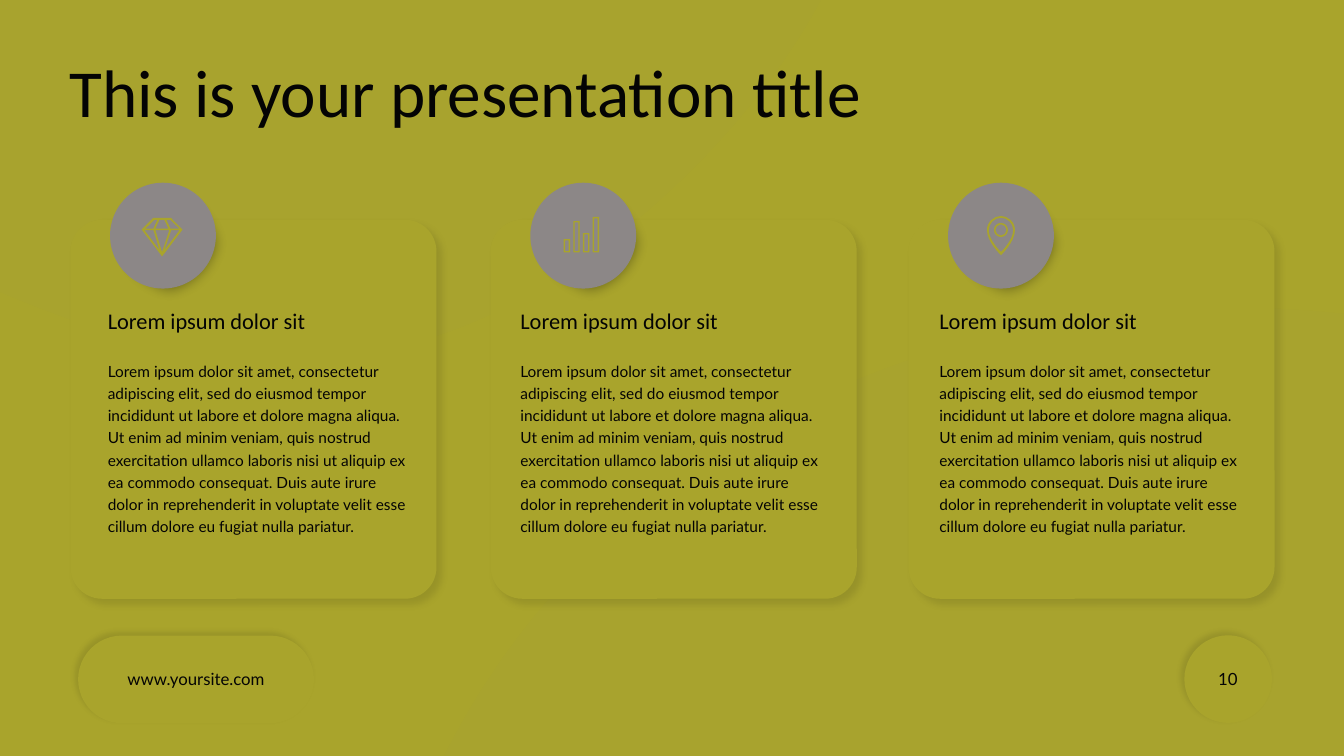
from dataclasses import dataclass

import pptx
import pptx.dml.color
import pptx.enum.shapes
import pptx.enum.text
import pptx.oxml
import pptx.oxml.ns
import pptx.util

Pt = pptx.util.Pt
RGBColor = pptx.dml.color.RGBColor
Shape = pptx.enum.shapes.MSO_SHAPE
Align = pptx.enum.text.PP_ALIGN
Anchor = pptx.enum.text.MSO_ANCHOR
Point = tuple[float, float]

OLIVE = RGBColor(0xA9, 0xA4, 0x2C)
GREY = RGBColor(0x8C, 0x87, 0x87)
INK = RGBColor(0x04, 0x04, 0x04)
BLACK = RGBColor(0x00, 0x00, 0x00)
NAMESPACE = pptx.oxml.ns.nsdecls("a")
HEADING = "Lorem ipsum dolor sit"
BODY = (
    "Lorem ipsum dolor sit amet, consectetur adipiscing elit, sed do eiusmod tempor "
    "incididunt ut labore et dolore magna aliqua. Ut enim ad minim veniam, quis nostrud "
    "exercitation ullamco laboris nisi ut aliquip ex ea commodo consequat. Duis aute irure "
    "dolor in reprehenderit in voluptate velit esse cillum dolore eu fugiat nulla pariatur."
)


@dataclass
class Contour:
    points: list[Point]
    curved: bool = False

    def extent(self) -> list[Point]:
        if not self.curved:
            return self.points
        result = []
        for first in range(0, len(self.points) - 1, 3):
            corners = self.points[first:first + 4]
            for t in (step / 24 for step in range(25)):
                weights = ((1 - t) ** 3, 3 * t * (1 - t) ** 2, 3 * t * t * (1 - t), t ** 3)
                result.append(tuple(sum(w * p[axis] for w, p in zip(weights, corners))
                                    for axis in (0, 1)))
        return result


@dataclass
class Card:
    left: float
    text_left: float
    icon: list[Contour]


@dataclass
class Shadow:
    color: RGBColor
    blur: float
    distance: float
    angle: int


CARD_SHADOW = Shadow(BLACK, 5, 5, 45)
FOOTER_SHADOW = Shadow(INK, 4, 3, 225)


def ring(radius: float, middle: float) -> Contour:
    quarter = [(1, 0), (1, 0.55), (0.55, 1)]
    turns = [(1, 0, 0, 1), (0, -1, 1, 0), (-1, 0, 0, -1), (0, 1, -1, 0)]
    unit = [(a * x + b * y, c * x + d * y) for a, b, c, d in turns for x, y in quarter]
    return Contour([(radius * x, middle + radius * y) for x, y in unit + unit[:1]], True)


def bar_icon() -> list[Contour]:
    contours = []
    for index, top in enumerate((2.5, -10.4, -1.8, -13.3)):
        for inset in (0, 1):
            left = -14 + 6.9 * index + inset
            right = left + 4.6 - 2 * inset
            contours.append(Contour([(left, top + inset), (right, top + inset),
                                     (right, 12 - inset), (left, 12 - inset)]))
    return contours


def pin_icon() -> list[Contour]:
    outer = [(0, -14), (-5, -14), (-10, -9.7), (-10, -4), (-10, 4.7), (0, 14), (0, 14),
             (0, 14), (10, 4.7), (10, -4), (10, -9.7), (5, -14), (0, -14)]
    inner = [(x * 0.87, -4 + (y + 4) * 0.87) for x, y in outer]
    return [Contour(outer, True), Contour(inner, True), ring(5, -4), ring(4, -4)]


DIAMOND_ICON = [Contour(points) for points in (
    [(-7, -12.6), (5.8, -12.6), (14, -4.3), (-0.6, 14.8), (-15.2, -4.3)],
    [(1, 10.4), (6, -4), (12, -4)],
    [(-0.6, 11.9), (-5.4, -4), (4.6, -4)],
    [(-13.3, -4), (-6.8, -4), (-2.4, 10.4)],
    [(-6.1, -11.2), (-4, -11.2), (-6.8, -5), (-12.6, -5)],
    [(1, -11.2), (4, -5), (-5.4, -5), (-2.5, -11.2)],
    [(5.4, -11.2), (11.9, -5), (5.4, -5), (2.5, -11.2)],
)]
CARDS = [Card(50.4, 77, DIAMOND_ICON), Card(350.6, 371.7, bar_icon()), Card(649, 671, pin_icon())]
BLOBS = [
    [(613.4, -159.8), (652.3, -43.2), (516.2, 132.5), (378.7, 210.2), (240.5, 287.3),
     (101.5, 267.8), (-89.3, 164.9), (-280.8, 63.4), (-523.4, -122.4), (-491.8, -230.4),
     (-461.5, -338.4), (-155.5, -367.2), (103.7, -352.8), (362.9, -337), (575.3, -277.2),
     (613.4, -159.8)],
    [(1425.6, 501.8), (1481, 680.4), (1316.2, 921.6), (1090.8, 1087.2), (865.4, 1252.8),
     (580.3, 1340.6), (415.4, 1229), (252, 1117.4), (210.2, 806.4), (297.4, 584.6),
     (384.5, 362.9), (601.9, 230.4), (848.2, 220.3), (1094.4, 211), (1370.9, 324.7),
     (1425.6, 501.8)],
]


def paint(shape, color: RGBColor, opacity: int = 100) -> None:
    shape.shadow.inherit = False
    shape.line.fill.background()
    shape.fill.solid()
    shape.fill.fore_color.rgb = color
    if opacity < 100:
        tone = shape.fill._xPr.find(".//" + pptx.oxml.ns.qn("a:srgbClr"))
        tone.append(pptx.oxml.parse_xml(f'<a:alpha {NAMESPACE} val="{opacity * 1000}"/>'))


def add_effect(shape, effect: str) -> None:
    effects = shape._element.spPr.find(pptx.oxml.ns.qn("a:effectLst"))
    effects.append(pptx.oxml.parse_xml(effect))


def add_shadow(shape, shadow: Shadow) -> None:
    add_effect(shape, f'<a:outerShdw {NAMESPACE} blurRad="{Pt(shadow.blur)}" '
               f'dist="{Pt(shadow.distance)}" dir="{shadow.angle * 60000}" algn="ctr" '
               f'rotWithShape="0"><a:srgbClr val="{shadow.color}"><a:alpha val="10000"/>'
               '</a:srgbClr></a:outerShdw>')


def add_figure(page, kind, left: float, top: float, width: float, height: float,
               color: RGBColor, opacity: int = 100):
    shape = page.shapes.add_shape(kind, Pt(left), Pt(top), Pt(width), Pt(height))
    paint(shape, color, opacity)
    return shape


def add_outline(page, contours: list[Contour], color: RGBColor, opacity: int = 100,
                center: Point = (0, 0)) -> None:
    xs, ys = zip(*(point for contour in contours for point in contour.extent()))
    left, top, right, bottom = min(xs), min(ys), max(xs), max(ys)
    frame = [(Pt(x + center[0]), Pt(y + center[1]))
             for x, y in ((left, top), (right, top), (right, bottom), (left, bottom))]
    builder = page.shapes.build_freeform(*frame[0])
    builder.add_line_segments(frame[1:], close=True)
    shape = builder.convert_to_shape()
    outline = shape._element.find(".//" + pptx.oxml.ns.qn("a:path"))
    for child in list(outline):
        outline.remove(child)
    for contour in contours:
        marks = [f'<a:pt {NAMESPACE} x="{Pt(x - left)}" y="{Pt(y - top)}"/>'
                 for x, y in contour.points]
        size, tag = (3, "cubicBezTo") if contour.curved else (1, "lnTo")
        steps = [("moveTo", marks[:1])]
        steps += [(tag, marks[i:i + size]) for i in range(1, len(marks), size)]
        for name, group in steps + [("close", [])]:
            outline.append(pptx.oxml.parse_xml(
                f'<a:{name} {NAMESPACE}>{"".join(group)}</a:{name}>'))
    paint(shape, color, opacity)


def write(box, text: str, size: float, font: str, spacing: float = 1.0,
          align=Align.LEFT, anchor=Anchor.TOP, inset: bool = False, wrap: bool = True) -> None:
    frame = box.text_frame
    frame.text = text
    frame.word_wrap = wrap
    frame.auto_size = pptx.enum.text.MSO_AUTO_SIZE.NONE
    frame.vertical_anchor = anchor
    if not inset:
        frame.margin_left = frame.margin_right = frame.margin_top = frame.margin_bottom = 0
    para = frame.paragraphs[0]
    para.alignment = align
    para.line_spacing = spacing
    para.space_before = Pt(0)
    for span in para.runs:
        span.font.size = Pt(size)
        span.font.name = font
        span.font.color.rgb = INK


def add_text(page, left: float, top: float, width: float, height: float, *content, **options) -> None:
    box = page.shapes.add_textbox(Pt(left), Pt(top), Pt(width), Pt(height))
    write(box, *content, **options)


def add_card(page, card: Card) -> None:
    panel = add_figure(page, Shape.ROUNDED_RECTANGLE, card.left, 157, 261.4, 270.7, OLIVE)
    panel.adjustments[0] = 0.086
    add_shadow(panel, CARD_SHADOW)
    halo = add_figure(page, Shape.OVAL, card.left + 27.4, 130.5, 87.1, 87.1, INK, 40)
    add_effect(halo, f'<a:softEdge {NAMESPACE} rad="{Pt(10)}"/>')
    add_figure(page, Shape.OVAL, card.left + 28.2, 130.5, 75.6, 75.6, GREY)
    add_outline(page, card.icon, OLIVE, center=(card.left + 66, 168.3))
    add_text(page, card.text_left, 221.8, 217.4, 28.8, HEADING, 16, "Calibri", spacing=0.9)
    add_text(page, card.text_left, 255.9, 217.4, 142.6, BODY, 11, "Lato", spacing=1.2)


def main() -> None:
    deck = pptx.Presentation()
    deck.slide_width, deck.slide_height = Pt(960), Pt(540)
    page = deck.slides.add_slide(deck.slide_layouts[5])
    page.background.fill.solid()
    page.background.fill.fore_color.rgb = OLIVE
    for blob in BLOBS:
        add_outline(page, [Contour(blob, True)], GREY, 3)
    number = add_figure(page, Shape.OVAL, 846, 453.8, 62.6, 62.6, OLIVE)
    site = add_figure(page, Shape.ROUNDED_RECTANGLE, 55.8, 454, 168.5, 62.6, OLIVE)
    site.adjustments[0] = 0.5
    for footer in (number, site):
        add_shadow(footer, FOOTER_SHADOW)
    add_text(page, 675.1, 470.6, 216, 28.8, "10", 12, "Lato", align=Align.RIGHT,
             anchor=Anchor.MIDDLE, inset=True)
    add_text(page, 82.8, 473.8, 114.5, 21.6, "www.yoursite.com", 12, "Lato",
             align=Align.CENTER, inset=True, wrap=False)
    for card in CARDS:
        add_card(page, card)
    title = page.shapes.title
    title.left, title.top, title.width, title.height = Pt(49.7), Pt(42.5), Pt(770.4), Pt(78.5)
    write(title, "This is your presentation title", 48, "Calibri", spacing=0.9)
    page.shapes._spTree.append(title._element)
    deck.save("out.pptx")


if __name__ == "__main__":
    main()
